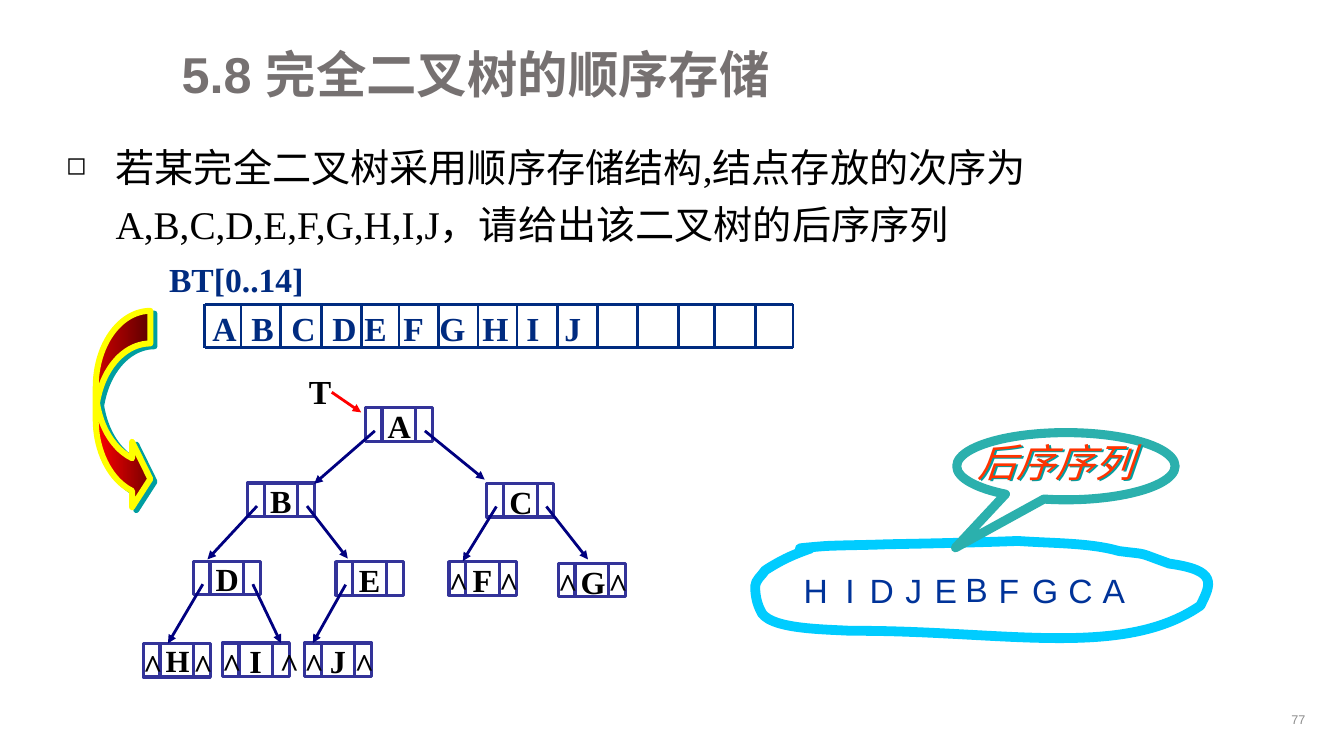
from lxml import etree
from pptx import Presentation
from pptx.dml.color import RGBColor
from pptx.enum.shapes import MSO_CONNECTOR, MSO_SHAPE
from pptx.enum.text import MSO_ANCHOR, MSO_AUTO_SIZE, PP_ALIGN
from pptx.oxml.ns import qn
from pptx.util import Emu, Inches, Pt

RECTANGLE = MSO_SHAPE.RECTANGLE
CALLOUT = MSO_SHAPE.OVAL_CALLOUT
CURVED_ARROW = MSO_SHAPE.CURVED_RIGHT_ARROW
STRAIGHT = MSO_CONNECTOR.STRAIGHT
LEFT, CENTER, RIGHT = PP_ALIGN.LEFT, PP_ALIGN.CENTER, PP_ALIGN.RIGHT
TOP, MIDDLE = MSO_ANCHOR.TOP, MSO_ANCHOR.MIDDLE
FIT_SHAPE, NO_FIT = MSO_AUTO_SIZE.SHAPE_TO_FIT_TEXT, MSO_AUTO_SIZE.NONE

UNIT = Inches(1) // 12  # the slide is 160 columns by 90 rows
SERIF, SANS, CJK = "Times New Roman", "Arial", "Noto Sans CJK SC"
BLACK, NAVY, EDGE, NODE = "000000", "002B80", "000080", "333399"
TEAL, RED = "009EA1", "FF0000"


def rgb(value):
    return RGBColor.from_string(value)


def grid(*lengths):
    return [Emu(round(length * UNIT)) for length in lengths]


def add_xml(parent, tag, **attributes):
    return etree.SubElement(parent, qn(tag), attributes)


class TreeSlide:
    def __init__(self, slide):
        self.shapes = slide.shapes

    def text(self, box, words, size, color=BLACK, font=SERIF, bold=False, italic=False,
             align=LEFT, anchor=TOP, wrap=False, spacing=None, bullet=None, tabs=()):
        label = self.shapes.add_textbox(*grid(*box))
        frame = label.text_frame
        frame.word_wrap = wrap
        frame.auto_size = NO_FIT if wrap else FIT_SHAPE
        frame.vertical_anchor = anchor
        paragraph = frame.paragraphs[0]
        paragraph.text = words
        paragraph.alignment = align
        if spacing:
            paragraph.line_spacing = spacing
        properties = paragraph._p.get_or_add_pPr()
        if bullet:
            indent = Inches(0.49)
            properties.set("marL", str(indent))
            properties.set("indent", str(-indent))
            add_xml(properties, "a:buSzPct", val="64000")
            add_xml(properties, "a:buChar", char=bullet)
        if tabs:
            stops = add_xml(properties, "a:tabLst")
            for stop in grid(*tabs):
                add_xml(stops, "a:tab", pos=str(stop), algn="l")
        style = paragraph.font
        style.size, style.bold, style.italic = Pt(size), bold, italic
        style.name = font
        style.color.rgb = rgb(color)
        add_xml(properties.find(qn("a:defRPr")), "a:ea", typeface=CJK)
        return label

    def centered(self, x, top, words, size, width=5, **style):
        self.text((x - width / 2, top, width, 6), words, size, align=CENTER, **style)

    def outline(self, shape, color, weight):
        shape.shadow.inherit = False
        shape.fill.background()
        shape.line.color.rgb = rgb(color)
        shape.line.width = Pt(weight)
        return shape

    def preset(self, kind, box, color, weight, adjustments=()):
        shape = self.shapes.add_shape(kind, *grid(*box))
        for index, value in enumerate(adjustments):
            shape.adjustments[index] = value
        return self.outline(shape, color, weight)

    def curve(self, start, controls, color, weight):
        """A closed outline; every three controls make one cubic curve."""
        builder = self.shapes.build_freeform(*grid(*start))
        builder.add_line_segments([grid(*point) for point in controls], close=True)
        shape = builder.convert_to_shape()
        sides = list(shape.element.iter(qn("a:lnTo")))
        for first in range(0, len(sides), 3):
            cubic = etree.Element(qn("a:cubicBezTo"))
            sides[first].addprevious(cubic)
            for side in sides[first:first + 3]:
                cubic.append(side[0])
                side.getparent().remove(side)
        return self.outline(shape, color, weight)

    def line(self, start, end, color, arrow=False, joined=None):
        """A straight line; joined is a rectangle whose top it ends on."""
        connector = self.shapes.add_connector(STRAIGHT, *grid(*start, *end))
        if joined is not None:
            connector.end_connect(joined, 0)
        connector.line.color.rgb = rgb(color)
        connector.line.width = Pt(2)
        if arrow:
            add_xml(connector.line._get_or_add_ln(), "a:tailEnd", type="triangle")
        add_xml(connector.element.spPr, "a:effectLst")

    def shadow(self, shape, distance):
        shape.shadow.inherit = False
        effects = shape.element.spPr.find(qn("a:effectLst"))
        cast = add_xml(effects, "a:outerShdw", blurRad="0", dist=str(Pt(distance)),
                       dir=str(34 * 60000), algn="ctr", rotWithShape="0")
        add_xml(cast, "a:srgbClr", val=TEAL)

    def node(self, left, top, name, carets=(), size=23):
        """A link cell, a data cell and a link cell; carets mark empty links."""
        cells = [self.preset(RECTANGLE, (left + x, top, width, 4), NODE, 2.25)
                 for x, width in ((0, 2), (2, 4), (6, 2))]
        self.centered(left + 4, top - 0.75, name, size, bold=True)
        for x in carets:
            self.centered(left + x, top - 0.45, "^", 24, width=4.8, bold=True)
        return cells


def draw_array(page):
    top, bottom = 36.25, 41.4
    dividers = (24.35, 28.7, 33.35, 38.25, 43.05, 47.5, 52.2, 56.9,
                61.55, 66.35, 71.15, 75.85, 80.75, 85.1, 89.9, 94.4)
    letter_stops = (4.64, 9.4, 14.29, 18.1, 22.74, 27.02, 32.14, 37.38, 41.9)
    page.text((18.95, 30.2, 18.4, 6.1), "BT[0..14]", 24, NAVY, bold=True)
    for y in (top, bottom):
        page.line((dividers[0], y), (dividers[-1], y), NAVY)
    for x in dividers:
        page.line((x, top), (x, bottom), NAVY)
    page.text((24.1, 36.1, 68.3, 6.1), "\t".join("ABCDEFGHIJ"), 24, NAVY, bold=True,
              wrap=True, tabs=letter_stops)


def draw_tree(page):
    both = (1.15, 7.15)
    places = {
        "A": (43.48, 48.55), "B": (29.45, 57.5), "C": (57.95, 57.55), "D": (23, 66.8),
        "E": (40, 66.85), "F": (53.45, 66.85), "G": (66.45, 67.05), "H": (17.05, 76.6),
        "I": (26.45, 76.55), "J": (36.25, 76.55),
    }
    carets = {"F": both, "G": both, "H": both, "I": (1.15, 8), "J": both}
    cells = {name: page.node(*place, name, carets.get(name, ()), 22 if name == "H" else 23)
             for name, place in places.items()}

    # parent, link column, arrow tip, cell joined at its top
    left_link, right_link = 1.15, 7.1
    edges = [
        ("A", left_link, (37.4, 57.6), None),
        ("A", right_link, (57.7, 57.1), None),
        ("B", left_link, (24.7, 66.6), None),
        ("B", right_link, (41.4, 66.5), None),
        ("C", left_link, (55.1, 66.8), None),
        ("C", right_link, (70, 66.6), None),
        ("D", left_link, (20, 76.6), None),
        ("D", right_link, (33.4, 76.6), cells["I"][2]),
        ("E", left_link, (37.2, 76.6), cells["J"][0]),
    ]
    for parent, link, tip, joined in edges:
        x, y = places[parent]
        page.line((x + link, y + 2.75), tip, EDGE, arrow=True, joined=joined)
    page.centered(38.1, 43.6, "T", 24, bold=True)
    page.line((39.5, 46.7), (43, 49.1), RED, arrow=True)

    turn = page.preset(CURVED_ARROW, (11.4, 37, 6.5, 23.9), "FFFF00", 4.25,
                       (0.598, 1.197, 0.333))
    turn.fill.gradient()
    turn.fill.gradient_angle = 0
    for stop, color in zip(turn.fill.gradient_stops, (RED, "760000")):
        stop.color.rgb = rgb(color)
    page.shadow(turn, 3.6)


def draw_answer(page):
    centers = (97, 104.85, 101.2, 108.8, 112.6, 116.25, 120.1, 124.2, 128.5, 132.6)
    for x, letter in zip(centers, "HDIJEBFGCA"):
        page.centered(x, 67.1 if letter == "B" else 67.2, letter, 24, color="003399",
                      font=SANS, anchor=MIDDLE)
    start = (96.5, 65.3)
    page.curve(start, [
        (94.2, 66.1), (92.8, 66.8), (91.1, 67.9),
        (90.7, 68.5), (89.9, 69.1), (89.9, 69.8),
        (89.9, 70.8), (90.1, 71.8), (90.5, 72.6),
        (91.2, 74.9), (97.8, 74.9), (101.3, 75.1),
        (119.2, 75), (133.6, 78.5), (142.9, 72.1),
        (144.2, 69.5), (145, 67.9), (139.2, 67.1),
        (135, 65.6), (137, 66.1), (133.2, 65.6),
        (129.7, 64.6), (125.3, 64.7), (121.2, 64.4),
        (115.9, 64.6), (110.8, 64.7), (105.5, 64.8),
        (103.1, 64.9), (100.7, 64.9), (98.3, 65),
        (93.4, 65.4), (95.6, 65.3), start,
    ], "00CCFF", 7)
    page.preset(CALLOUT, (113.9, 51.5, 26, 8), "2BB0AD", 6.5, (-0.506, 1.214))
    heading = page.text((115.2, 51.6, 21.1, 6.8), "后序序列", 28, "FF3300", CJK, italic=True)
    page.shadow(heading, 1.5)


def main():
    deck = Presentation()
    deck.slide_width, deck.slide_height = grid(160, 90)
    page = TreeSlide(deck.slides.add_slide(deck.slide_layouts[6]))
    page.text((20.45, 4.1, 135, 10.2), "5.8 完全二叉树的顺序存储", 36, "767171", SANS,
              bold=True, anchor=MIDDLE, wrap=True, spacing=0.9)
    page.text((151, 83.8, 5.6, 3.8), "77", 9, "8C8C8C", SANS, align=RIGHT,
              anchor=MIDDLE, wrap=True)
    page.text((6.7, 15.4, 148.7, 15.1),
              "若某完全二叉树采用顺序存储结构,结点存放的次序为"
              "A,B,C,D,E,F,G,H,I,J，请给出该二叉树的后序序列",
              28, wrap=True, spacing=1.2, bullet="◻")
    draw_array(page)
    draw_answer(page)
    draw_tree(page)
    deck.save("out.pptx")


if __name__ == "__main__":
    main()
